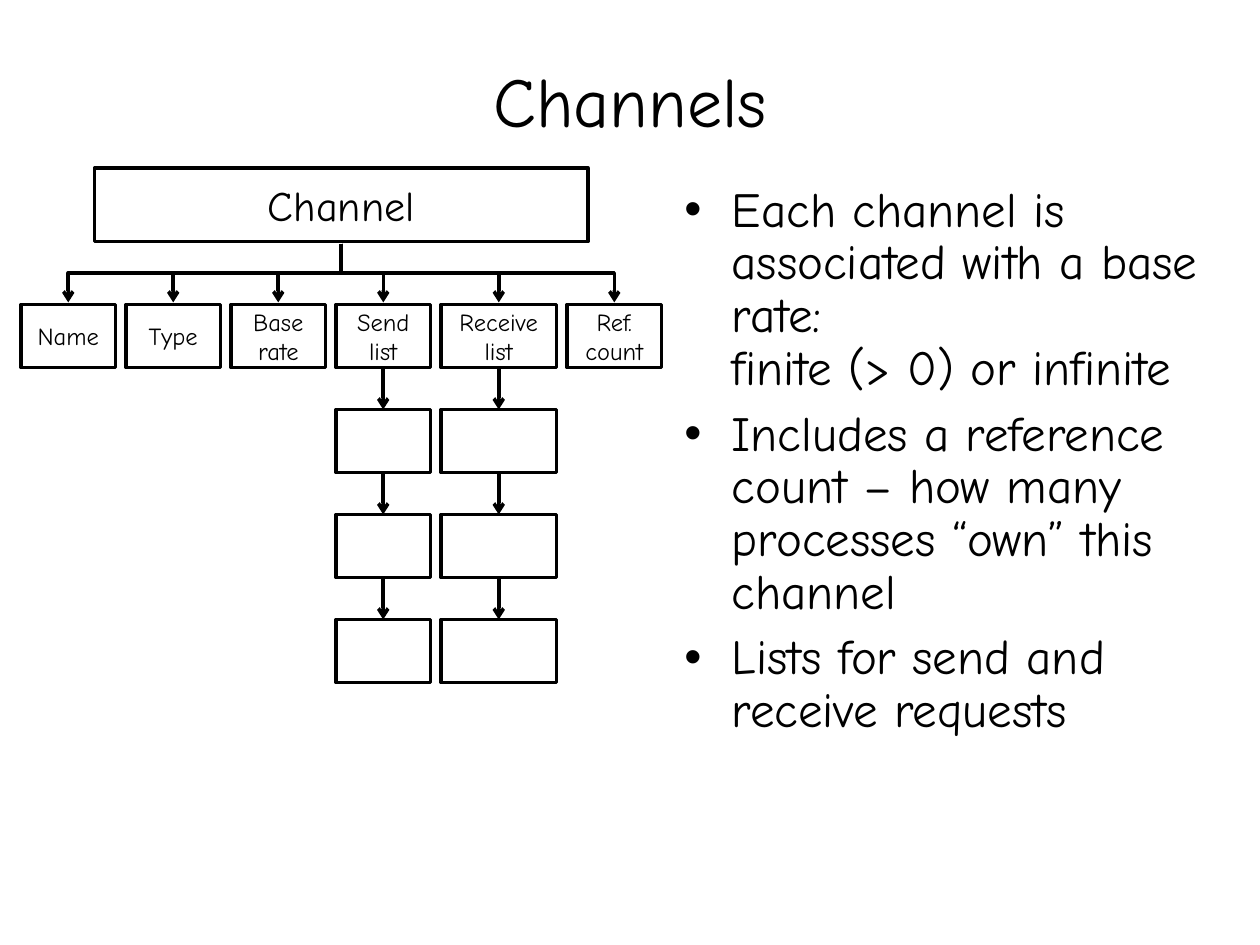
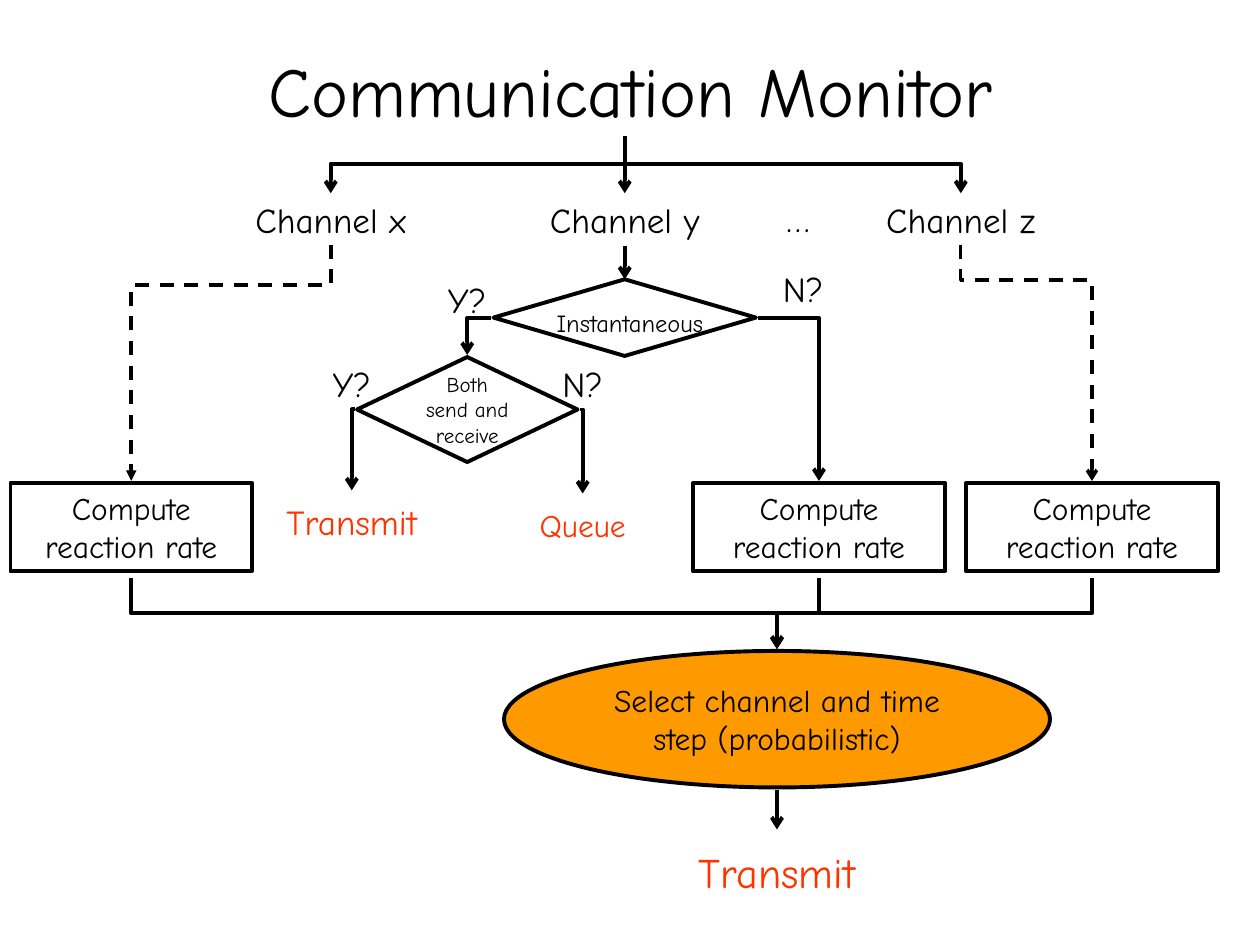
from lxml import etree
from pptx import Presentation
from pptx.dml.color import RGBColor
from pptx.enum import dml, shapes, text
from pptx.oxml.ns import qn
from pptx.util import Emu, Pt

PX = 7620  # EMU per px, 120 px to the inch
FONT = "Comic Neue"
BLACK = RGBColor(0x00, 0x00, 0x00)
WHITE = RGBColor(0xFF, 0xFF, 0xFF)
RED = RGBColor(0xFF, 0x33, 0x00)
ORANGE = RGBColor(0xFF, 0x99, 0x00)
THIN, THICK = 2, 2.25
TOP, LEFT, BOTTOM, RIGHT = range(4)
MIDDLE = text.MSO_ANCHOR.MIDDLE
SHAPE = shapes.MSO_SHAPE


def px(*lengths):
    return [Emu(round(n * PX)) for n in lengths]


# Text
def add_run(p, words, size, color=BLACK):
    r = p.add_run()
    r.text = words
    r.font.name, r.font.size, r.font.color.rgb = FONT, Pt(size), color


def write(sp, words, size, color=BLACK, anchor=MIDDLE):
    tf = sp.text_frame
    tf.word_wrap = True
    tf.auto_size = text.MSO_AUTO_SIZE.NONE
    tf.vertical_anchor = anchor
    p = tf.paragraphs[0]
    p.alignment = text.PP_ALIGN.CENTER
    add_run(p, words, size, color)


def add_label(s, box, words, size=20, color=BLACK, anchor=MIDDLE):
    sp = s.shapes.add_textbox(*px(*box))
    write(sp, words, size, color, anchor)
    return sp


def add_title(s, box, words):
    sp = s.shapes.title
    sp.left, sp.top, sp.width, sp.height = px(*box)
    write(sp, words, 40)


# Shapes and lines
def add_box(s, box, kind=SHAPE.RECTANGLE, fill=None, width=THICK):
    sp = s.shapes.add_shape(kind, *px(*box))
    sp.shadow.inherit = False
    if fill is None:
        sp.fill.background()
    else:
        sp.fill.solid()
        sp.fill.fore_color.rgb = fill
    sp.line.color.rgb, sp.line.width = BLACK, Pt(width)
    return sp


def style_line(c, width, head="arrow", dashed=False):
    c.line.color.rgb, c.line.width = BLACK, Pt(width)
    if dashed:
        c.line.dash_style = dml.MSO_LINE.DASH
    ln = c.line._get_or_add_ln()
    etree.SubElement(ln, qn("a:tailEnd"), type=head)
    etree.SubElement(c._element.spPr, qn("a:effectLst"))


def add_arrow(s, start, end, width, begin=None, finish=None):
    """Straight arrow; begin and finish are shapes joined bottom to top."""
    c = s.shapes.add_connector(shapes.MSO_CONNECTOR.STRAIGHT,
                               *px(*start, *end))
    if begin is not None:
        c.begin_connect(begin, BOTTOM)
    if finish is not None:
        c.end_connect(finish, TOP)
    style_line(c, width)


def add_elbow(s, start, end, width, bend=0.5, **look):
    """Arrow that leaves downwards, crosses at bend, and goes on down."""
    (x1, y1), (x2, y2) = start, end
    mx, my = (x1 + x2) / 2, (y1 + y2) / 2
    w, h = (y2 - y1) / 2, abs(x2 - x1) / 2
    c = s.shapes.add_connector(shapes.MSO_CONNECTOR.ELBOW,
                               *px(mx - w, my - h, mx + w, my + h))
    xfrm = c._element.spPr.find(qn("a:xfrm"))
    xfrm.set("rot", str((90 if x2 < x1 else 270) * 60000))
    if x2 > x1:
        xfrm.set("flipH", "1")
    geom = c._element.spPr.find(qn("a:prstGeom"))
    guides = geom.find(qn("a:avLst"))
    if guides is None:
        guides = etree.SubElement(geom, qn("a:avLst"))
    etree.SubElement(guides, qn("a:gd"), name="adj1",
                     fmla=f"val {round(bend * 100000)}")
    style_line(c, width, **look)


def add_corner(s, start, end):
    """Arrow that leaves sideways and turns down once."""
    (x1, y1), (x2, y2) = start, end
    c = s.shapes.add_connector(shapes.MSO_CONNECTOR.ELBOW,
                               *px(min(x1, x2), y1, max(x1, x2), y2))
    c._element.spPr.find(qn("a:prstGeom")).set("prst", "bentConnector2")
    if x2 < x1:
        xfrm = c._element.spPr.find(qn("a:xfrm"))
        xfrm.set("rot", "10800000")
        xfrm.set("flipV", "1")
    style_line(c, THICK)


# Slide 1: channel record with its fields and request lists
def channel_tree(s, x, y):
    root_x, root_w, root_h = x + 70, 470, 70
    field_y, field_h, gap, pitch = y + 130, 60, 10, 100
    fields = [("Name", 90, 0), ("Type", 90, 0), ("Base rate", 90, 0),
              ("Send list", 90, 3), ("Receive list", 110, 3),
              ("Ref. count", 90, 0)]

    root = add_box(s, (root_x, y, root_w, root_h), width=THIN)
    write(root, "Channel", 24)
    for name, w, requests in fields:
        field = add_box(s, (x, field_y, w, field_h), width=THIN)
        write(field, name, 14)
        mid = x + w / 2
        add_elbow(s, (root_x + root_w / 2, y + root_h + 2),
                  (mid, field_y - 2), THIN)
        above = field
        for i in range(1, requests + 1):
            top = field_y + i * pitch
            item = add_box(s, (x, top, w, field_h), width=THIN)
            add_arrow(s, (mid, top - pitch + field_h), (mid, top), THIN,
                      above, item)
            above = item
        x += w + gap


def bullet_list(s, box, items):
    tf = s.shapes.add_textbox(*px(*box)).text_frame
    tf.word_wrap = True
    for i, lines in enumerate(items):
        p = tf.add_paragraph() if i else tf.paragraphs[0]
        pPr = p._p.get_or_add_pPr()
        pPr.set("marL", str(45 * PX))
        pPr.set("indent", str(-45 * PX))
        etree.SubElement(pPr, qn("a:buFont"), typeface="Arial")
        etree.SubElement(pPr, qn("a:buChar"), char="•")
        p.line_spacing = 0.9
        if i:
            p.space_before = Pt(7)
        for j, line in enumerate(lines):
            if j:
                p.add_line_break()
            add_run(p, line, 28)


def channels_slide(prs):
    s = prs.slides.add_slide(prs.slide_layouts[5])
    add_title(s, (90, 20, 1020, 150), "Channels")
    bullet_list(s, (640, 170, 520, 640), [
        ["Each channel is associated with a base rate: ",
         "finite (> 0) or infinite"],
        ["Includes a reference count – how many processes “own” this channel"],
        ["Lists for send and receive requests"],
    ])
    channel_tree(s, 20, 160)


# Slide 2: the monitor's channels, decisions and selection
def channel_heads(s, x, y):
    w, h = 250, 50
    trunk = (x + 405, y)
    for name, dx in [("x", 0), ("y", 280), ("z", 600)]:
        head = add_label(s, (x + dx, y + 54, w, h), f"Channel {name}")
        end = (x + dx + w / 2, y + 54)
        if end[0] == trunk[0]:
            add_arrow(s, trunk, end, THICK, finish=head)
            middle = head
        else:
            add_elbow(s, trunk, end, THICK, 0.48)
    add_label(s, (x + 530, y + 58, 80, 40), "…")
    return middle


def decisions(s, x, y, channel):
    instant = add_box(s, (x + 200, y, 250, 73),
                      SHAPE.FLOWCHART_DECISION, WHITE)
    add_label(s, (x + 180, y + 21, 300, 68), "Instantaneous", 14,
              anchor=text.MSO_ANCHOR.TOP)
    add_arrow(s, (x + 325, y - 32), (x + 325, y), THICK, channel, instant)
    both = add_box(s, (x + 70, y + 74, 210, 100),
                   SHAPE.FLOWCHART_DECISION, WHITE)
    write(both, "Both send and receive", 12)

    # Branches and their answers
    for start, end in [((198, 37), (175, 72)), ((452, 37), (510, 192)),
                       ((68, 124), (65, 201)), ((282, 124), (285, 204))]:
        add_corner(s, (x + start[0], y + start[1]), (x + end[0], y + end[1]))
    for dx, dy, answer in [(110, -16, "Y?"), (430, -26, "N?"),
                           (0, 64, "Y?"), (220, 64, "N?")]:
        add_label(s, (x + dx, y + dy, 130, 70), answer)
    add_label(s, (x - 50, y + 201, 230, 60), "Transmit", 20, RED)
    add_label(s, (x + 170, y + 204, 230, 60), "Queue", 18, RED)


def rate_selection(s, x, y):
    h, merge = 84, (x + 730, y + 158)
    for dx, w in [(0, 230), (650, 240), (910, 240)]:
        rate = add_box(s, (x + dx, y, w, h))
        write(rate, "Compute reaction rate", 18, anchor=text.MSO_ANCHOR.TOP)
        add_elbow(s, (x + dx + w / 2, y + h + 6), merge, THICK)
    select = add_box(s, (x + 470, y + 160, 520, 130), SHAPE.OVAL, ORANGE)
    write(select, "Select channel and time step (probabilistic)", 18)
    result = add_label(s, (x + 475, y + 330, 510, 80), "Transmit", 24, RED)
    add_arrow(s, (merge[0], y + 292), (merge[0], y + 330), THICK,
              finish=result)


def monitor_slide(prs):
    s = prs.slides.add_slide(prs.slide_layouts[5])
    add_title(s, (90, 10, 1020, 150), "Communication Monitor")
    middle = channel_heads(s, 190, 130)
    decisions(s, 270, 266, middle)
    rate_selection(s, 10, 460)
    # Outer channels lead straight to their rates
    add_elbow(s, (315, 233), (125, 458), THIN, 0.17,
              head="triangle", dashed=True)
    add_elbow(s, (915, 233), (1040, 458), THIN, 0.15, dashed=True)


def main():
    prs = Presentation()
    prs.slide_width, prs.slide_height = px(1200, 900)
    channels_slide(prs)
    monitor_slide(prs)
    prs.save("out.pptx")


if __name__ == "__main__":
    main()
